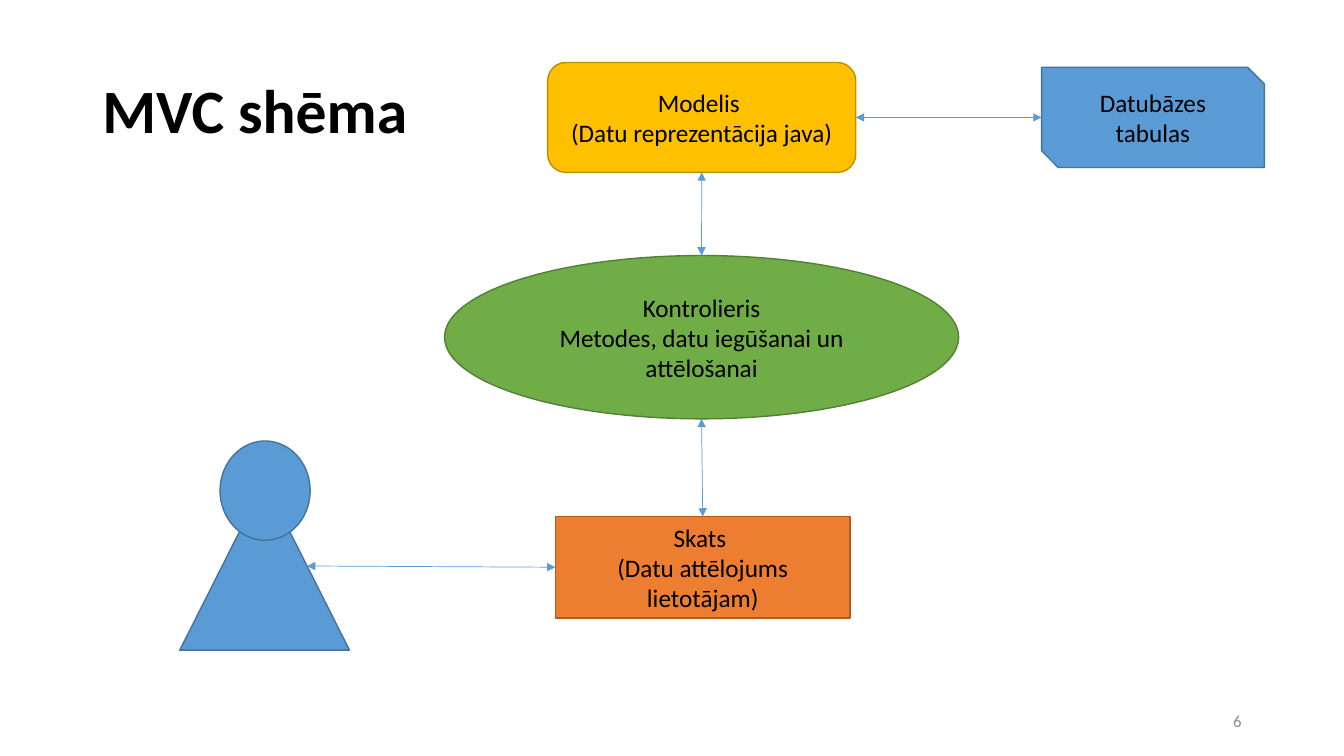
import pptx
import pptx.util
import pptx.dml.color
import pptx.enum.shapes
import pptx.enum.text
import pptx.oxml
import pptx.oxml.ns

COLORS = {
    "text": "000000", "number": "8C8C8C", "arrow": "5B9BD5",
    "blue": "5B9BD5", "blue_edge": "43739E",
    "orange": "ED7D31", "orange_edge": "AF5C24",
    "green": "70AD47", "green_edge": "538035",
    "yellow": "FFC000", "yellow_edge": "BD8E00",
}
SHAPES = pptx.enum.shapes.MSO_SHAPE
ALIGN = pptx.enum.text.PP_ALIGN


class Diagram:
    """Draws on one slide, measured in a grid of 40 columns and 30 rows."""
    font = "Calibri"
    columns, rows = 40, 30

    def __init__(self, presentation):
        self.slide = presentation.slides.add_slide(presentation.slide_layouts[6])
        self.column = presentation.slide_width / self.columns
        self.row = presentation.slide_height / self.rows

    def place(self, left, top, width, height):
        return (round(left * self.column), round(top * self.row),
                round(width * self.column), round(height * self.row))

    def color(self, name):
        return pptx.dml.color.RGBColor.from_string(COLORS[name])

    def add_text(self, shape, text, size, align, color="text", bold=False, spacing=1.0):
        frame = shape.text_frame
        frame.word_wrap = True
        frame.vertical_anchor = pptx.enum.text.MSO_ANCHOR.MIDDLE
        paragraph = frame.paragraphs[0]
        paragraph.alignment = align
        paragraph.line_spacing = spacing
        for index, line in enumerate(text.split("\n")):
            if index:
                paragraph.add_line_break()
            run = paragraph.add_run()
            run.text = line
            run.font.name = self.font
            run.font.size = pptx.util.Pt(size)
            run.font.bold = bold
            run.font.color.rgb = self.color(color)

    def label(self, box, text, size, align, **style):
        shape = self.slide.shapes.add_textbox(*self.place(*box))
        self.add_text(shape, text, size, align, **style)

    def node(self, kind, box, color, text=""):
        shape = self.slide.shapes.add_shape(kind, *self.place(*box))
        shape.shadow.inherit = False
        shape.fill.solid()
        shape.fill.fore_color.rgb = self.color(color)
        shape.line.color.rgb = self.color(color + "_edge")
        shape.line.width = pptx.util.Pt(1)
        if text:
            self.add_text(shape, text, 18, ALIGN.CENTER)
        return shape

    def point(self, shape, across, down):
        """Point on a shape, as shares of its width and height."""
        return (round(shape.left + across * shape.width),
                round(shape.top + down * shape.height))

    def arrow(self, start, end):
        connector = self.slide.shapes.add_connector(
            pptx.enum.shapes.MSO_CONNECTOR.STRAIGHT, *start, *end)
        connector.line.color.rgb = self.color("arrow")
        connector.line.width = pptx.util.Pt(0.5)
        properties = connector._element.spPr
        line = properties.find(pptx.oxml.ns.qn("a:ln"))
        for tag in ("a:headEnd", "a:tailEnd"):
            line.append(pptx.oxml.parse_xml(
                f'<{tag} {pptx.oxml.ns.nsdecls("a")} type="triangle"/>'))
        properties.append(pptx.oxml.parse_xml(
            f'<a:effectLst {pptx.oxml.ns.nsdecls("a")}/>'))


presentation = pptx.Presentation()
presentation.slide_width = pptx.util.Inches(13.33)
presentation.slide_height = pptx.util.Inches(7.5)
diagram = Diagram(presentation)

# Title and slide number
diagram.label((2.75, 1.6, 34.5, 5.8), "MVC shēma", 44, ALIGN.LEFT, bold=True, spacing=0.9)
diagram.label((28.25, 27.8, 9, 1.6), "6", 12, ALIGN.RIGHT, color="number")

# User figure
body = diagram.node(SHAPES.ISOSCELES_TRIANGLE, (5.35, 19.12, 5.05, 6.68), "blue")
diagram.node(SHAPES.OVAL, (6.55, 17.5, 2.68, 3.94), "blue")

# MVC parts and database
view = diagram.node(SHAPES.RECTANGLE, (16.53, 20.5, 8.77, 4.02), "orange",
                    "Skats \n(Datu attēlojums lietotājam)")
controller = diagram.node(SHAPES.OVAL, (13.23, 10.14, 15.3, 6.48), "green",
                          "Kontrolieris\nMetodes, datu iegūšanai un attēlošanai")
model = diagram.node(SHAPES.ROUNDED_RECTANGLE, (16.3, 2.48, 9.17, 4.36), "yellow",
                     "Modelis \n(Datu reprezentācija java)")
database = diagram.node(SHAPES.SNIP_2_DIAG_RECTANGLE, (31, 2.67, 6.63, 3.98), "blue",
                        "Datubāzes tabulas")

# Two-way arrows between the parts
TOP, BOTTOM, LEFT, RIGHT = (0.5, 0), (0.5, 1), (0, 0.5), (1, 0.5)
BODY_SIDE = (0.75, 0.5)
for start, start_side, end, end_side in (
    (body, BODY_SIDE, view, LEFT),
    (view, TOP, controller, BOTTOM),
    (model, RIGHT, database, LEFT),
    (model, BOTTOM, controller, TOP),
):
    diagram.arrow(diagram.point(start, *start_side), diagram.point(end, *end_side))

presentation.save("out.pptx")
